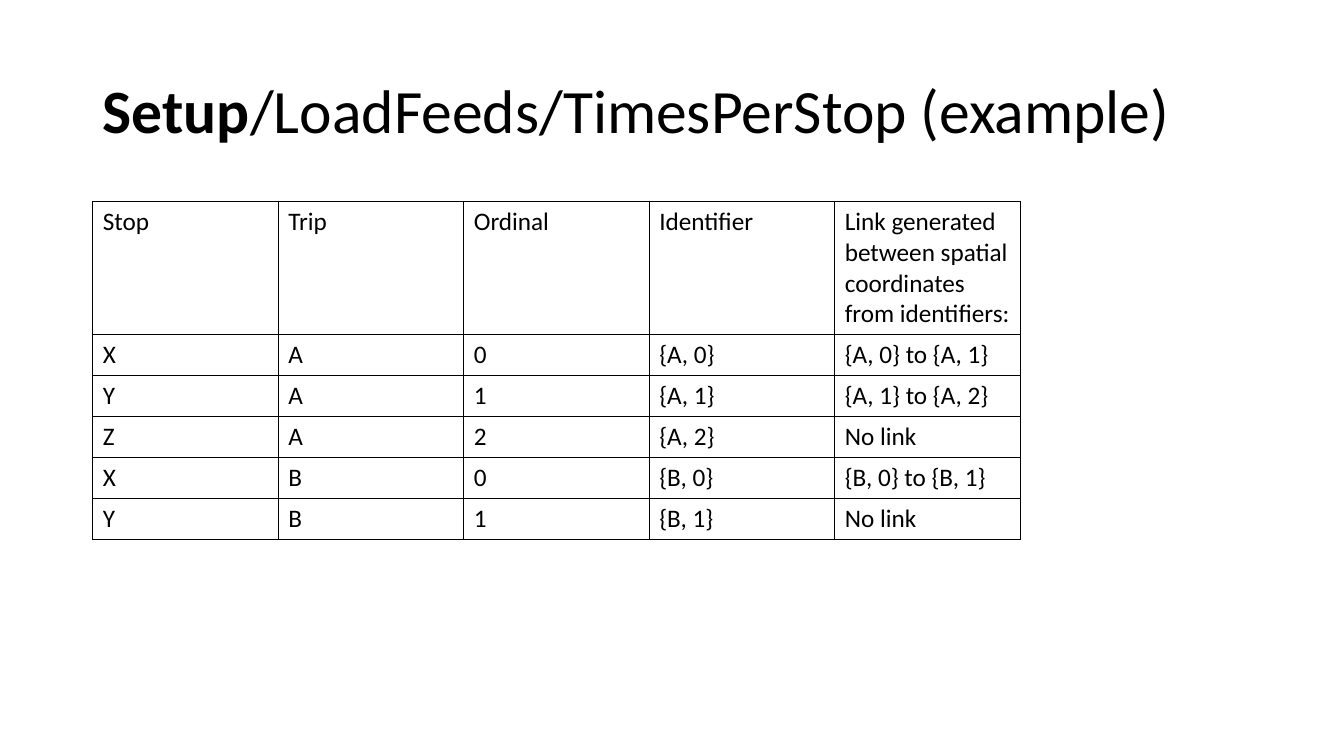
import pptx
import pptx.util
import pptx.dml.color
import pptx.enum.text
import pptx.oxml
import pptx.oxml.ns

Inches = pptx.util.Inches
BLACK = "000000"


def add_run(para, text, size, bold=False):
    run = para.add_run()
    run.text = text
    run.font.name = "Calibri"
    run.font.size = pptx.util.Pt(size)
    run.font.bold = bold
    run.font.color.rgb = pptx.dml.color.RGBColor.from_string(BLACK)


def add_edges(cell):
    props = cell._tc.get_or_add_tcPr()
    for side in ("lnL", "lnR", "lnT", "lnB"):
        props.append(pptx.oxml.parse_xml(
            f'<a:{side} {pptx.oxml.ns.nsdecls("a")} w="12700"><a:solidFill>'
            f'<a:srgbClr val="{BLACK}"/></a:solidFill></a:{side}>'))


deck = pptx.Presentation()
deck.slide_width = Inches(13.33)
deck.slide_height = Inches(7.5)
slide = deck.slides.add_slide(deck.slide_layouts[5])

# Title
title = slide.shapes.title
title.left, title.top = Inches(0.92), Inches(0.4)
title.width, title.height = Inches(11.5), Inches(1.45)
frame = title.text_frame
frame.vertical_anchor = pptx.enum.text.MSO_ANCHOR.MIDDLE
para = frame.paragraphs[0]
para.alignment = pptx.enum.text.PP_ALIGN.LEFT
para.line_spacing = 0.9
add_run(para, "Setup", 44, True)
add_run(para, "/LoadFeeds/TimesPerStop (example)", 44)

# Stop times and the links they give
rows = [
    ("Stop", "Trip", "Ordinal", "Identifier",
     "Link generated between spatial coordinates from identifiers:"),
    ("X", "A", "0", "{A, 0}", "{A, 0} to {A, 1}"),
    ("Y", "A", "1", "{A, 1}", "{A, 1} to {A, 2}"),
    ("Z", "A", "2", "{A, 2}", "No link"),
    ("X", "B", "0", "{B, 0}", "{B, 0} to {B, 1}"),
    ("Y", "B", "1", "{B, 1}", "No link"),
]
table = slide.shapes.add_table(
    len(rows), len(rows[0]),
    Inches(0.92), Inches(2), Inches(9.2), Inches(3.32)).table
table.first_row = False
table.horz_banding = False
for col in table.columns:
    col.width = Inches(1.84)
for r, row in enumerate(rows):
    table.rows[r].height = Inches(0.4 if r else 1.32)
    for c, text in enumerate(row):
        cell = table.cell(r, c)
        add_edges(cell)
        cell.fill.background()
        add_run(cell.text_frame.paragraphs[0], text, 18)

deck.save("out.pptx")
